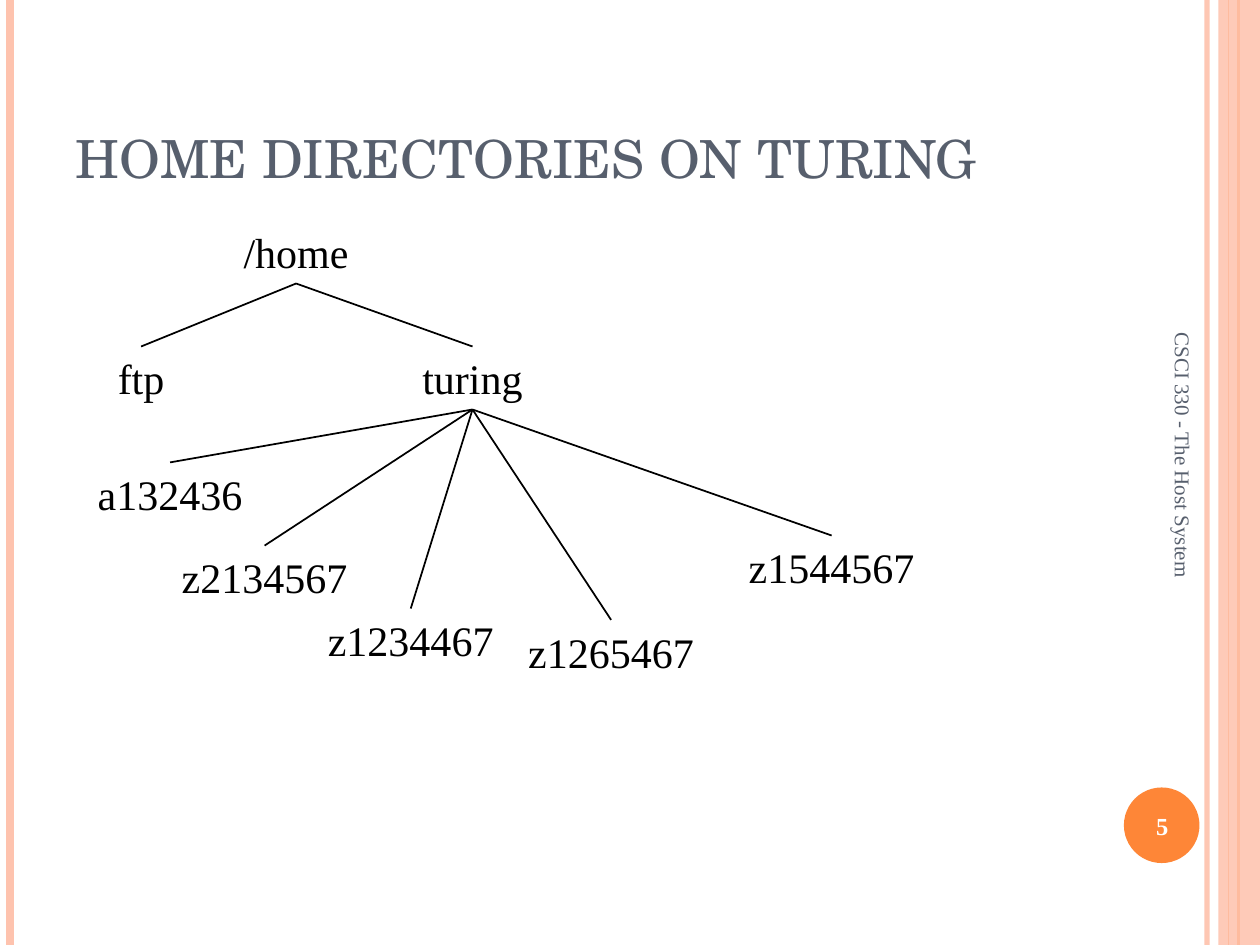
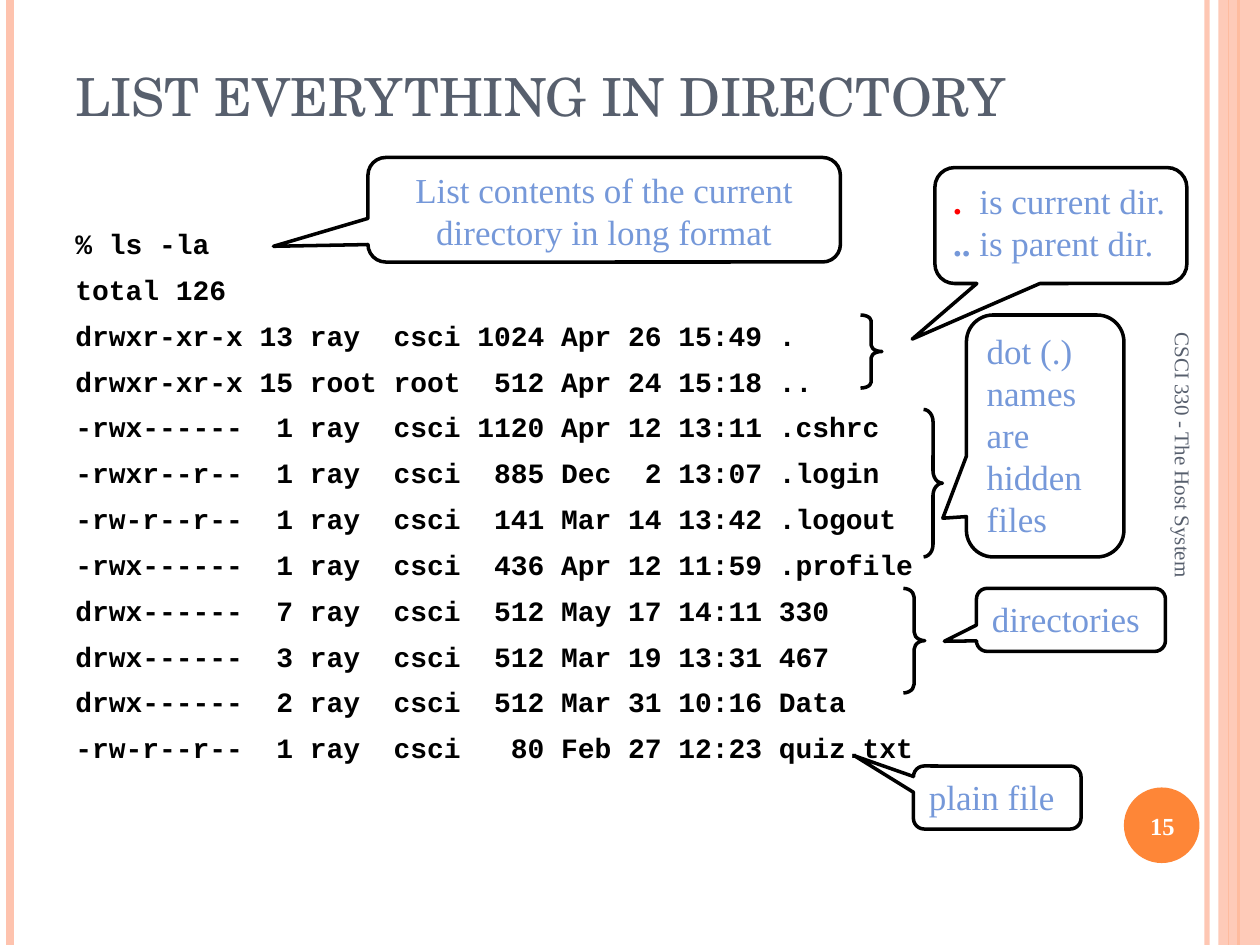
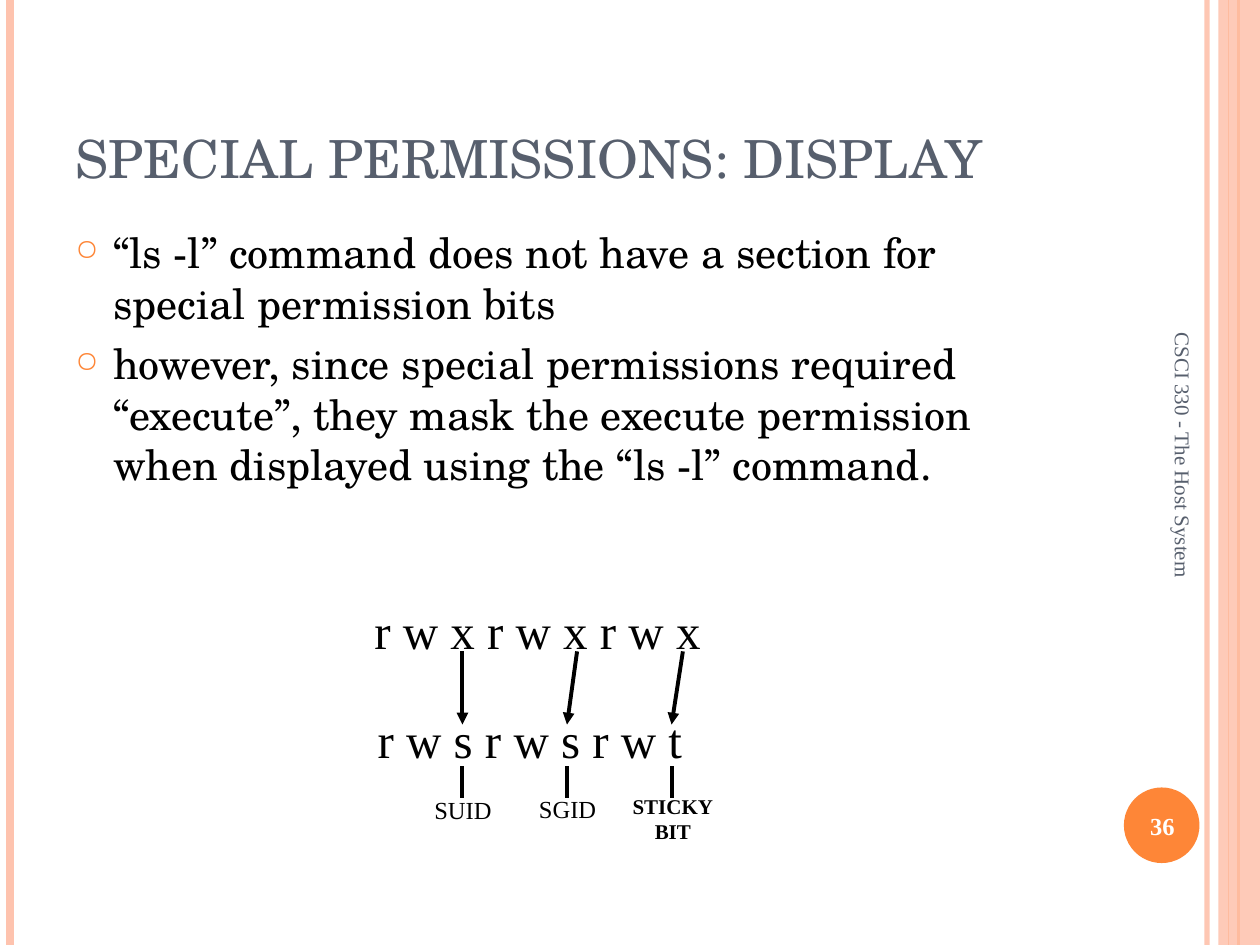
from dataclasses import dataclass
from typing import Any, NamedTuple

from lxml import etree
from pptx import Presentation
from pptx import util as u
from pptx.dml import color
from pptx.enum import shapes, text
from pptx.oxml import ns

PX = 9144
WIDTH, HEIGHT = 1000, 750
LEFT, CENTER = text.PP_ALIGN.LEFT, text.PP_ALIGN.CENTER
TOP, MIDDLE, BOTTOM = text.MSO_ANCHOR.TOP, text.MSO_ANCHOR.MIDDLE, text.MSO_ANCHOR.BOTTOM


class Style(NamedTuple):
    font: str
    size: int
    color: str
    bold: bool = False


@dataclass(frozen=True)
class Theme:
    orange: str = "FE8637"
    peach: str = "FEC3AE"
    ink: str = "000000"
    title: Style = Style("TeX Gyre Schola", 30, "575F6D")
    bullet: Style = Style("TeX Gyre Schola", 24, "000000")
    code: Style = Style("Courier New", 16, "000000", True)
    number: Style = Style("Times New Roman", 14, "FFFFFF", True)
    footer: Style = Style("Times New Roman", 12, "575F6D")
    node: Style = Style("Times New Roman", 24, "000000")
    note: Style = Style("Times New Roman", 20, "7598D9")
    note_bold: Style = Style("Times New Roman", 20, "7598D9", True)
    note_red: Style = Style("Times New Roman", 20, "FF0000", True)
    bits: Style = Style("Times New Roman", 28, "000000")
    tag: Style = Style("Times New Roman", 14, "000000")
    tag_bold: Style = Style("Times New Roman", 12, "000000", True)


THEME = Theme()


class Box(NamedTuple):
    left: int
    top: int
    width: int
    height: int


class Rule(NamedTuple):
    x: int
    color: str
    weight: float
    alpha: int = 100


class Node(NamedTuple):
    label: str
    x: int
    top: int
    parent: str = ""


class Run(NamedTuple):
    text: str
    style: Style


class Callout(NamedTuple):
    box: Box
    tip: tuple[float, float]
    lines: list[list[Run]]
    align: Any = LEFT


class Bit(NamedTuple):
    x: int
    arrow_from: int
    box: Box
    lines: list[str]
    style: Style


TITLE_BOX = Box(50, 30, 817, 125)
BODY_BOX = Box(50, 175, 817, 533)
FOOTER = "CSCI 330 - The Host System"
NODE_HEIGHT = 50
RULES = [
    Rule(958, THEME.peach, 3, 93),
    Rule(8, THEME.peach, 4.5),
    Rule(983, THEME.orange, 1.5),
    Rule(975, THEME.orange, 0.75),
]
NODES = [
    Node("/home", 235, 175),
    Node("ftp", 112, 275, "/home"),
    Node("turing", 375, 275, "/home"),
    Node("a132436", 135, 367, "turing"),
    Node("z2134567", 210, 433, "turing"),
    Node("z1234467", 326, 483, "turing"),
    Node("z1265467", 485, 492, "turing"),
    Node("z1544567", 660, 425, "turing"),
]
LISTING = """% ls -la
total 126
drwxr-xr-x 13 ray  csci 1024 Apr 26 15:49 .
drwxr-xr-x 15 root root  512 Apr 24 15:18 ..
-rwx------  1 ray  csci 1120 Apr 12 13:11 .cshrc
-rwxr--r--  1 ray  csci  885 Dec  2 13:07 .login
-rw-r--r--  1 ray  csci  141 Mar 14 13:42 .logout
-rwx------  1 ray  csci  436 Apr 12 11:59 .profile
drwx------  7 ray  csci  512 May 17 14:11 330
drwx------  3 ray  csci  512 Mar 19 13:31 467
drwx------  2 ray  csci  512 Mar 31 10:16 Data
-rw-r--r--  1 ray  csci   80 Feb 27 12:23 quiz.txt"""
BRACES = [Box(683, 250, 17, 58), Box(733, 325, 15, 117), Box(717, 467, 17, 83)]
CALLOUTS = [
    Callout(Box(292, 125, 375, 83), (-0.7, 0.35),
            [[Run("List contents of the current directory in long format", THEME.note)]], CENTER),
    Callout(Box(742, 133, 200, 92), (-0.59, 0.98),
            [[Run(".  ", THEME.note_red), Run("is current dir.", THEME.note)],
             [Run("..", THEME.note_bold), Run(" is parent dir.", THEME.note)]]),
    Callout(Box(767, 250, 125, 192), (-0.65, 0.34),
            [[Run("dot (.) names are hidden files", THEME.note)]]),
    Callout(Box(775, 467, 150, 50), (-0.67, 0.34), [[Run("directories", THEME.note)]]),
    Callout(Box(725, 608, 133, 50), (-0.85, -0.66), [[Run("plain file", THEME.note)]]),
]
BULLETS = [
    "“ls -l” command does not have a section for special permission bits",
    "however, since special permissions required “execute”, they mask the execute "
    "permission when displayed using the “ls -l” command.",
]
BITS = [
    Bit(367, 367, Box(335, 626, 65, 34), ["SUID"], THEME.tag),
    Bit(450, 458, Box(418, 625, 65, 34), ["SGID"], THEME.tag),
    Bit(533, 542, Box(492, 625, 84, 50), ["STICKY", "BIT"], THEME.tag_bold),
]


def assign(target: Any, values: dict[str, Any]) -> None:
    for name, value in values.items():
        setattr(target, name, value)


def emu(box: Box) -> list[int]:
    return [length * PX for length in box]


def rgb(value: str) -> color.RGBColor:
    return color.RGBColor.from_string(value)


def set_alpha(sp: Any, percent: int) -> None:
    for clr in sp._element.spPr.iter(ns.qn("a:srgbClr")):
        etree.SubElement(clr, ns.qn("a:alpha"), val=str(percent * 1000))


def add_bullet(p: Any) -> None:
    pPr = p._p.get_or_add_pPr()
    assign_xml = {"marL": str(30 * PX), "indent": str(-30 * PX)}
    for name, value in assign_xml.items():
        pPr.set(name, value)
    clr = etree.SubElement(pPr, ns.qn("a:buClr"))
    etree.SubElement(clr, ns.qn("a:srgbClr"), val=THEME.orange)
    etree.SubElement(pPr, ns.qn("a:buSzPct"), val="70000")
    etree.SubElement(pPr, ns.qn("a:buChar"), char="○")


def plain(lines: list[str], style: Style) -> list[list[Run]]:
    return [[Run(line, style)] for line in lines]


def write(sp: Any, lines: list[list[Run]], align: Any = LEFT, anchor: Any = TOP,
          wrap: bool = True, gap: float = 0, bullets: bool = False) -> None:
    tf = sp.text_frame
    assign(tf, {
        "word_wrap": wrap,
        "auto_size": text.MSO_AUTO_SIZE.NONE,
        "vertical_anchor": anchor,
        "margin_left": 10 * PX, "margin_right": 10 * PX,
        "margin_top": 5 * PX, "margin_bottom": 5 * PX,
    })
    for i, runs in enumerate(lines):
        p = tf.add_paragraph() if i else tf.paragraphs[0]
        assign(p, {"alignment": align, "space_before": u.Pt(gap if i else 0)})
        if bullets:
            add_bullet(p)
        for run in runs:
            r = p.add_run()
            r.text = run.text
            style = run.style
            assign(r.font, {"name": style.font, "size": u.Pt(style.size), "bold": style.bold})
            r.font.color.rgb = rgb(style.color)


def add_text(s: Any, box: Box, lines: list[list[Run]], **layout: Any) -> Any:
    sp = s.shapes.add_textbox(*emu(box))
    write(sp, lines, **layout)
    return sp


def add_block(s: Any, kind: Any, box: Box, fill: str) -> Any:
    sp = s.shapes.add_shape(kind, *emu(box))
    sp.shadow.inherit = False
    sp.fill.solid()
    sp.fill.fore_color.rgb = rgb(fill)
    sp.line.fill.background()
    return sp


def add_outline(s: Any, kind: Any, box: Box, adjustments: list[float]) -> Any:
    sp = s.shapes.add_shape(kind, *emu(box))
    sp.shadow.inherit = False
    sp.fill.background()
    sp.line.color.rgb = rgb(THEME.ink)
    sp.line.width = u.Pt(2)
    for i, value in enumerate(adjustments):
        sp.adjustments[i] = value
    return sp


def add_line(s: Any, x1: int, y1: int, x2: int, y2: int, weight: float,
             ink: str = THEME.ink, arrow: bool = False) -> Any:
    ends = [length * PX for length in (x1, y1, x2, y2)]
    line = s.shapes.add_connector(shapes.MSO_CONNECTOR.STRAIGHT, *ends)
    line.line.color.rgb = rgb(ink)
    line.line.width = u.Pt(weight)
    if arrow:
        etree.SubElement(line.line._get_or_add_ln(), ns.qn("a:tailEnd"), type="triangle")
    etree.SubElement(line._element.spPr, ns.qn("a:effectLst"))
    return line


def add_slide(prs: Any, title: str, number: int, lift: int = 0) -> Any:
    s = prs.slides.add_slide(prs.slide_layouts[5])
    for rule in RULES:
        line = add_line(s, rule.x, 0, rule.x, HEIGHT, rule.weight, rule.color)
        if rule.alpha < 100:
            set_alpha(line, rule.alpha)
    band = add_block(s, shapes.MSO_SHAPE.RECTANGLE, Box(967, 0, 33, HEIGHT), THEME.peach)
    set_alpha(band, 87)
    add_block(s, shapes.MSO_SHAPE.OVAL, Box(892, 625, 60, 60), THEME.orange)
    add_text(s, Box(889, 627, 67, 57), plain([str(number)], THEME.number),
             align=CENTER, anchor=MIDDLE)
    footer = add_text(s, Box(764, 409, 350, 40), plain([FOOTER], THEME.footer), anchor=MIDDLE)
    footer.rotation = 90
    heading = s.shapes.title
    assign(heading, dict(zip(("left", "top", "width", "height"), emu(TITLE_BOX))))
    write(heading, plain([title], THEME.title), anchor=BOTTOM)
    heading.text_frame.margin_bottom = (5 + lift) * PX
    return s


def build_tree(prs: Any) -> None:
    s = add_slide(prs, "HOME DIRECTORIES ON TURING", 5)
    by_label = {node.label: node for node in NODES}
    for node in NODES:
        add_text(s, Box(node.x - 75, node.top, 150, NODE_HEIGHT),
                 plain([node.label], THEME.node), align=CENTER, wrap=False)
        if node.parent:
            parent = by_label[node.parent]
            add_line(s, parent.x, parent.top + NODE_HEIGHT, node.x, node.top, 1)


def build_listing(prs: Any) -> None:
    s = add_slide(prs, "LIST EVERYTHING IN DIRECTORY", 15, lift=49)
    add_text(s, BODY_BOX, plain(LISTING.split("\n"), THEME.code), gap=7)
    for brace in BRACES:
        add_outline(s, shapes.MSO_SHAPE.RIGHT_BRACE, brace,
                    [brace.height / 12 / brace.width, 0.5])
    for callout in CALLOUTS:
        sp = add_outline(s, shapes.MSO_SHAPE.ROUNDED_RECTANGULAR_CALLOUT, callout.box,
                         [*callout.tip, 0.17])
        write(sp, callout.lines, align=callout.align)


def build_permissions(prs: Any) -> None:
    s = add_slide(prs, "SPECIAL PERMISSIONS: DISPLAY", 36)
    add_text(s, BODY_BOX, plain(BULLETS, THEME.bullet), gap=6, bullets=True)
    add_text(s, Box(287, 472, 279, 57), plain(["r w x r w x r w x"], THEME.bits),
             align=CENTER, wrap=False)
    add_text(s, Box(283, 558, 275, 57), plain(["r w s r w s r w t"], THEME.bits), align=CENTER)
    for bit in BITS:
        add_line(s, bit.arrow_from, 517, bit.x, 575, 2.25, arrow=True)
        add_line(s, bit.x, 608, bit.x, 633, 2.25)
        add_text(s, bit.box, plain(bit.lines, bit.style), align=CENTER, wrap=False)


def main() -> None:
    prs = Presentation()
    prs.slide_width, prs.slide_height = WIDTH * PX, HEIGHT * PX
    for build in (build_tree, build_listing, build_permissions):
        build(prs)
    prs.save("out.pptx")


if __name__ == "__main__":
    main()
